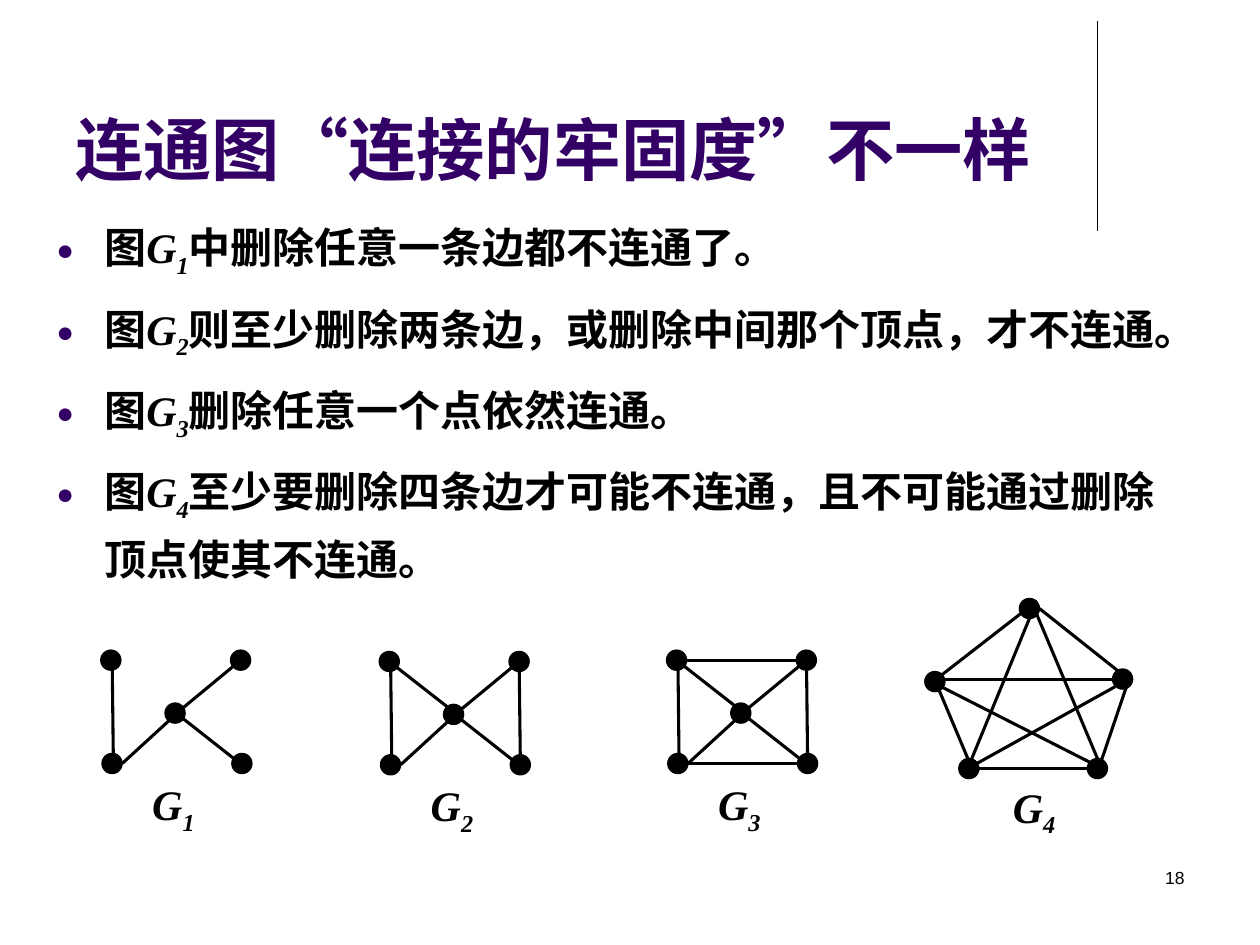
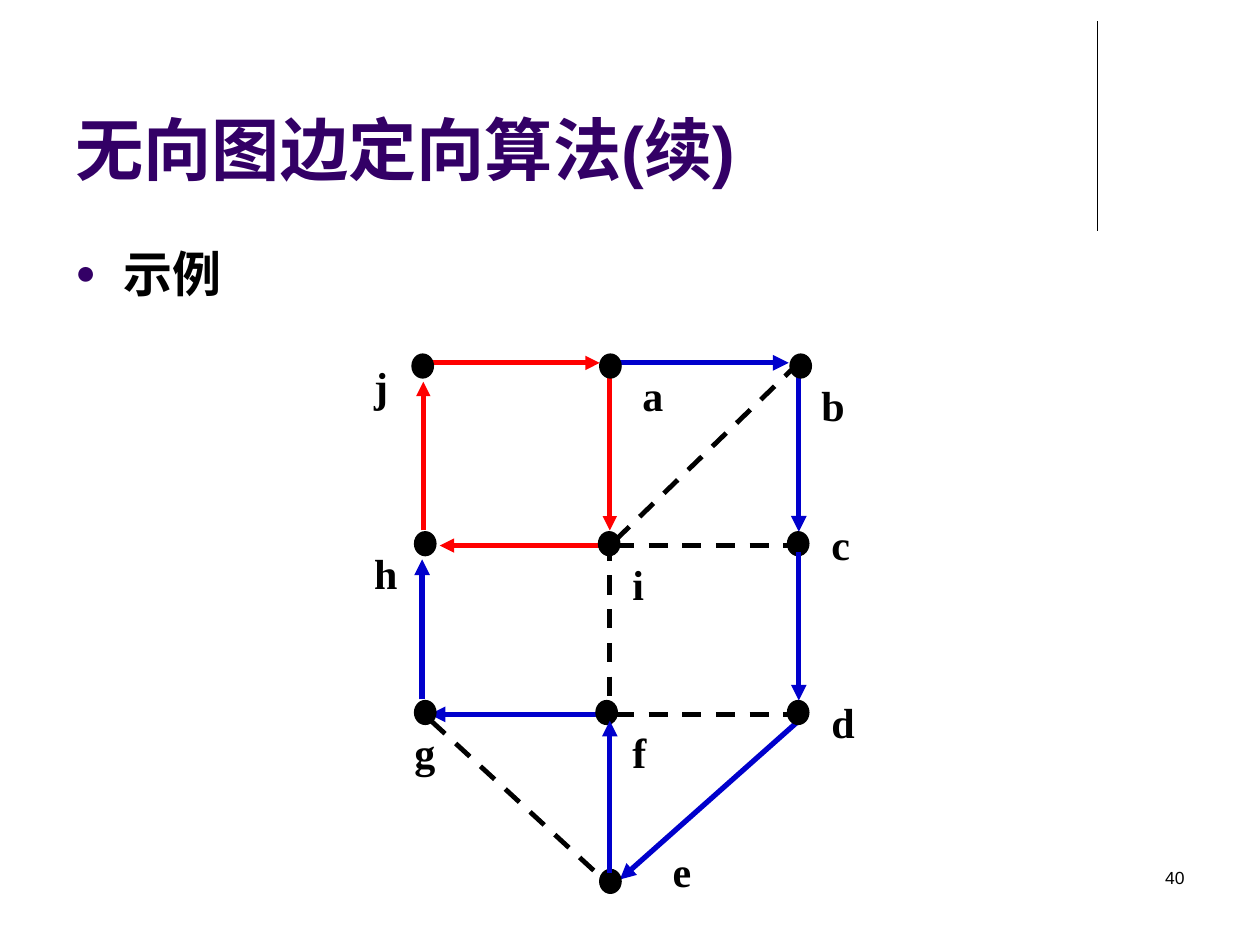
from dataclasses import dataclass
from typing import NamedTuple

from lxml.etree import SubElement
from pptx import Presentation
from pptx.dml.color import RGBColor
from pptx.enum.dml import MSO_LINE
from pptx.enum.shapes import MSO_CONNECTOR, MSO_SHAPE
from pptx.enum.text import MSO_ANCHOR, PP_ALIGN
from pptx.oxml.ns import qn
from pptx.util import Inches, Pt

COLORS = {
    "title": "330066",
    "ink": "000000",
    "cycle": "FF0000",
    "path": "0000CC",
}
SANS = "Arial"
SERIF = "Times New Roman"


class Point(NamedTuple):
    x: float
    y: float

    def shifted(self, origin: "Point") -> "Point":
        return Point(self.x + origin.x, self.y + origin.y)


class Frame(NamedTuple):
    left: float
    top: float
    width: float
    height: float


class Span(NamedTuple):
    text: str
    italic: bool = False
    subscript: bool = False


class Edge(NamedTuple):
    start: Point
    end: Point


@dataclass(frozen=True)
class TextStyle:
    font: str
    size: int
    color: str = "ink"
    bold: bool = True


@dataclass(frozen=True)
class LineStyle:
    color: str
    width: float
    dashed: bool = False
    arrow: bool = False


@dataclass(frozen=True)
class Graph:
    number: int
    origin: Point
    dots: list[Point]
    edges: list[Edge]
    label: Point


@dataclass(frozen=True)
class Vertex:
    name: str
    dot: Point
    label: Point


TITLE = TextStyle(SANS, 39, "title")
PAGE_NUMBER = TextStyle(SANS, 10, bold=False)
GRAPH_TEXT = TextStyle(SERIF, 24)
EXAMPLE_TEXT = TextStyle(SANS, 28)

THIN = LineStyle("ink", 0.75)
PLAIN = LineStyle("ink", 1.75)
CYCLE = LineStyle("cycle", 2.75, arrow=True)
PATH = LineStyle("path", 3, arrow=True)
UNUSED = LineStyle("ink", 2.75, dashed=True)


def edge(x1: float, y1: float, x2: float, y2: float) -> Edge:
    return Edge(Point(x1, y1), Point(x2, y2))


SQUARE_DOTS = [Point(0, 0), Point(1.03, 0), Point(0.01, 0.82), Point(1.04, 0.82), Point(0.51, 0.42)]
LEFT = edge(0.1, 0.91, 0.09, 0.04)
RIGHT = edge(1.12, 0.9, 1.11, 0.03)
TOP = edge(0.16, 0.08, 1.03, 0.08)
BOTTOM = edge(0.17, 0.9, 1.04, 0.9)
UPPER_LEFT = edge(0.08, 0.08, 0.54, 0.44)
UPPER_RIGHT = edge(1.11, 0.08, 0.65, 0.46)
LOWER_LEFT = edge(0.17, 0.9, 0.65, 0.46)
LOWER_RIGHT = edge(0.56, 0.47, 1.17, 0.95)

TREE = [LEFT, UPPER_RIGHT, LOWER_LEFT, LOWER_RIGHT]
BOW_TIE = TREE + [RIGHT, UPPER_LEFT]
WHEEL = BOW_TIE + [TOP, BOTTOM]
SQUARE_LABEL = Point(0.31, 0.97)

PENTAGON_DOTS = [Point(0.75, 0), Point(1.49, 0.56), Point(1.29, 1.27), Point(0.27, 1.27), Point(0, 0.58)]
COMPLETE = [
    edge(0.34, 1.35, 1.51, 0.7),
    edge(0.42, 1.35, 1.29, 1.35),
    edge(0.13, 0.61, 0.89, 0.02),
    edge(0.91, 0.08, 1.54, 0.58),
    edge(1.38, 1.35, 1.6, 0.7),
    edge(0.11, 0.72, 0.4, 1.41),
    edge(0.14, 0.64, 1.65, 0.64),
    edge(0.34, 1.35, 0.83, 0.16),
    edge(0.89, 0.13, 1.37, 1.27),
    edge(0.13, 0.7, 1.31, 1.3),
]

GRAPHS = [
    Graph(1, Point(0.8, 5.16), SQUARE_DOTS, TREE, SQUARE_LABEL),
    Graph(2, Point(3.01, 5.17), SQUARE_DOTS, BOW_TIE, SQUARE_LABEL),
    Graph(3, Point(5.29, 5.16), SQUARE_DOTS, WHEEL, SQUARE_LABEL),
    Graph(4, Point(7.34, 4.75), PENTAGON_DOTS, COMPLETE, Point(0.6, 1.4)),
]

STATEMENTS = [
    "中删除任意一条边都不连通了。",
    "则至少删除两条边，或删除中间那个顶点，才不连通。",
    "删除任意一个点依然连通。",
    "至少要删除四条边才可能不连通，且不可能通过删除顶点使其不连通。",
]

VERTICES = [
    Vertex("a", Point(4.76, 2.81), Point(5, 2.88)),
    Vertex("b", Point(6.27, 2.81), Point(6.42, 2.96)),
    Vertex("c", Point(6.25, 4.22), Point(6.5, 4.07)),
    Vertex("d", Point(6.25, 5.56), Point(6.5, 5.48)),
    Vertex("e", Point(4.76, 6.9), Point(5.24, 6.66)),
    Vertex("f", Point(4.73, 5.56), Point(4.92, 5.72)),
    Vertex("g", Point(3.29, 5.56), Point(3.19, 5.72)),
    Vertex("h", Point(3.29, 4.22), Point(2.87, 4.3)),
    Vertex("i", Point(4.75, 4.22), Point(4.92, 4.38)),
    Vertex("j", Point(3.27, 2.81), Point(2.87, 2.81)),
]

EDGES_BELOW_DOTS = [
    (edge(3.42, 2.88, 4.76, 2.88), CYCLE),
    (edge(4.84, 2.95, 4.84, 4.21), CYCLE),
    (edge(4.92, 4.33, 3.49, 4.33), CYCLE),
    (edge(3.36, 4.21, 3.36, 3.03), CYCLE),
    (edge(4.92, 2.88, 6.26, 2.88), PATH),
    (edge(6.34, 2.96, 6.34, 4.22), PATH),
    (edge(6.34, 5.72, 4.92, 6.98), PATH),
    (edge(4.84, 5.67, 3.41, 5.67), PATH),
    (edge(3.35, 5.55, 3.35, 4.44), PATH),
    (edge(6.34, 2.88, 4.84, 4.33), UNUSED),
    (edge(4.88, 4.33, 6.31, 4.33), UNUSED),
    (edge(4.88, 5.67, 6.31, 5.67), UNUSED),
    (edge(4.84, 4.3, 4.84, 5.72), UNUSED),
    (edge(3.42, 5.72, 4.79, 6.98), UNUSED),
]
EDGES_ABOVE_DOTS = [
    (edge(6.34, 4.38, 6.34, 5.56), PATH),
    (edge(4.84, 6.93, 4.84, 5.72), PATH),
]


def color(name: str) -> RGBColor:
    return RGBColor.from_string(COLORS[name])


def graph_name(number: int) -> list[Span]:
    return [Span("G", italic=True), Span(str(number), italic=True, subscript=True)]


def fill_paragraph(para, spans: list[Span], style: TextStyle) -> None:
    for span in spans:
        run = para.add_run()
        run.text = span.text
        run.font.name = style.font
        run.font.size = Pt(style.size)
        run.font.bold = style.bold
        run.font.italic = span.italic
        run.font.color.rgb = color(style.color)
        if span.subscript:
            run.font._element.set("baseline", "-25000")


def add_text(shapes, frame: Frame, paragraphs: list[list[Span]], style: TextStyle):
    box = shapes.add_textbox(*map(Inches, frame))
    text_frame = box.text_frame
    text_frame.word_wrap = True
    for index, spans in enumerate(paragraphs):
        para = text_frame.add_paragraph() if index else text_frame.paragraphs[0]
        fill_paragraph(para, spans, style)
    return text_frame


def add_bullets(page, frame: Frame, paragraphs: list[list[Span]], style: TextStyle,
                space_before: int, line_spacing: float) -> None:
    text_frame = add_text(page.shapes, frame, paragraphs, style)
    for para in text_frame.paragraphs:
        para.line_spacing = line_spacing
        properties = para._p.get_or_add_pPr()
        properties.set("marL", str(Inches(0.38)))
        properties.set("indent", str(-Inches(0.38)))
        spacing = SubElement(properties, qn("a:spcBef"))
        SubElement(spacing, qn("a:spcPct"), val=str(space_before * 1000))
        bullet_color = SubElement(properties, qn("a:buClr"))
        SubElement(bullet_color, qn("a:srgbClr"), val=COLORS["title"])
        SubElement(properties, qn("a:buSzPct"), val="70000")
        SubElement(properties, qn("a:buFont"), typeface=SANS)
        SubElement(properties, qn("a:buChar"), char="●")


def add_line(shapes, segment: Edge, style: LineStyle) -> None:
    ends = map(Inches, (*segment.start, *segment.end))
    connector = shapes.add_connector(MSO_CONNECTOR.STRAIGHT, *ends)
    connector.line.color.rgb = color(style.color)
    connector.line.width = Pt(style.width)
    if style.dashed:
        connector.line.dash_style = MSO_LINE.DASH
    if style.arrow:
        SubElement(connector.line._get_or_add_ln(), qn("a:tailEnd"), type="triangle")
    SubElement(connector._element.spPr, qn("a:effectLst"))


def add_dot(shapes, kind: MSO_SHAPE, frame: Frame) -> None:
    dot = shapes.add_shape(kind, *map(Inches, frame))
    dot.shadow.inherit = False
    dot.fill.solid()
    dot.fill.fore_color.rgb = color("ink")
    dot.line.color.rgb = color("ink")
    dot.line.width = Pt(0.75)


def add_page(deck, title: str, number: int):
    page = deck.slides.add_slide(deck.slide_layouts[6])
    add_line(page.shapes, edge(8.71, 0.17, 8.71, 1.83), THIN)
    heading = add_text(page.shapes, Frame(0.5, 0.13, 8.25, 1.42), [[Span(title)]], TITLE)
    heading.vertical_anchor = MSO_ANCHOR.BOTTOM
    footer = add_text(page.shapes, Frame(7.17, 6.83, 2.33, 0.5), [[Span(str(number))]], PAGE_NUMBER)
    footer.paragraphs[0].alignment = PP_ALIGN.RIGHT
    return page


def add_graph(page, graph: Graph) -> None:
    shapes = page.shapes.add_group_shape().shapes
    for segment in graph.edges:
        add_line(shapes, Edge(*(end.shifted(graph.origin) for end in segment)), PLAIN)
    for dot in graph.dots:
        add_dot(shapes, MSO_SHAPE.FLOWCHART_CONNECTOR, Frame(*dot.shifted(graph.origin), 0.16, 0.16))
    label = Frame(*graph.label.shifted(graph.origin), 0.79, 0.55)
    add_text(shapes, label, [graph_name(graph.number)], GRAPH_TEXT)


def build_connectivity_page(deck) -> None:
    page = add_page(deck, "连通图“连接的牢固度”不一样", 18)
    paragraphs = [
        [Span("图"), *graph_name(number), Span(statement)]
        for number, statement in enumerate(STATEMENTS, start=1)
    ]
    add_bullets(page, Frame(0.35, 1.62, 9, 2.76), paragraphs, GRAPH_TEXT, 30, 1.2)
    for graph in GRAPHS:
        add_graph(page, graph)


def build_orientation_page(deck) -> None:
    page = add_page(deck, "无向图边定向算法(续)", 40)
    add_bullets(page, Frame(0.5, 1.88, 9, 0.69), [[Span("示例")]], EXAMPLE_TEXT, 20, 1.0)
    shapes = page.shapes.add_group_shape().shapes
    for segment, style in EDGES_BELOW_DOTS:
        add_line(shapes, segment, style)
    for vertex in VERTICES:
        add_dot(shapes, MSO_SHAPE.OVAL, Frame(*vertex.dot, 0.17, 0.19))
        add_text(shapes, Frame(*vertex.label, 0.39, 0.5), [[Span(vertex.name)]], GRAPH_TEXT)
    for segment, style in EDGES_ABOVE_DOTS:
        add_line(shapes, segment, style)


def main() -> None:
    deck = Presentation()
    deck.slide_width = Inches(10)
    deck.slide_height = Inches(7.5)
    build_connectivity_page(deck)
    build_orientation_page(deck)
    deck.save("out.pptx")


if __name__ == "__main__":
    main()
